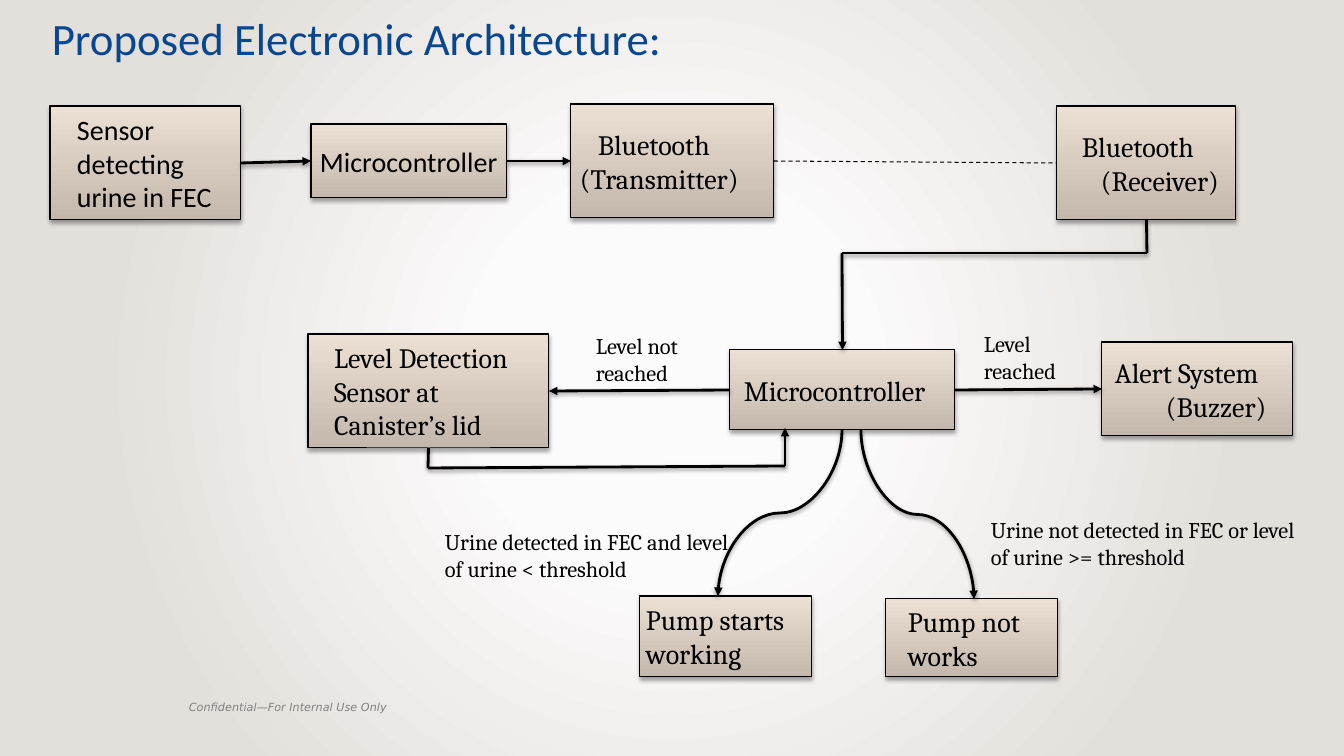
import pptx
import pptx.util
import pptx.dml.color
import pptx.enum.dml
import pptx.enum.shapes
import pptx.enum.text
import pptx.oxml
import pptx.oxml.ns
import lxml.etree

PX = 9072
COLORS = {
    "ink": "000000",
    "title": "074791",
    "footer": "808080",
    "box_bottom": "C4B8AC",
    "box_top": "ECDFD3",
    "glow": "FCFBFB",
    "edge": "E3DFDB",
}
RGB = {name: pptx.dml.color.RGBColor.from_string(value) for name, value in COLORS.items()}
NS = pptx.oxml.ns.nsdecls("a")
qn = pptx.oxml.ns.qn


def write(frame, lines, size=20, font="Cambria", color="ink", italic=False,
          indents=(0, 0), spacing=None, anchor="TOP"):
    frame.word_wrap = True
    frame.vertical_anchor = getattr(pptx.enum.text.MSO_ANCHOR, anchor)
    for index, line in enumerate(lines):
        paragraph = frame.add_paragraph() if index else frame.paragraphs[0]
        paragraph.alignment = pptx.enum.text.PP_ALIGN.LEFT
        paragraph._p.get_or_add_pPr().set("marL", str(indents[index] * PX))
        if spacing:
            paragraph.line_spacing = spacing
        run = paragraph.add_run()
        run.text = line
        run.font.size = pptx.util.Pt(size)
        run.font.name = font
        run.font.italic = italic
        run.font.color.rgb = RGB[color]


def set_effects(shape, distance, alpha):
    effects = pptx.oxml.parse_xml(f"<a:effectLst {NS}/>")
    if alpha:
        shadow = lxml.etree.SubElement(effects, qn("a:outerShdw"), blurRad="40000",
                                       dist=str(distance), dir="5400000", rotWithShape="0")
        tone = lxml.etree.SubElement(shadow, qn("a:srgbClr"), val=COLORS["ink"])
        lxml.etree.SubElement(tone, qn("a:alpha"), val=str(alpha * 1000))
    shape._element.spPr.append(effects)


deck = pptx.Presentation()
deck.slide_width = 1344 * PX
deck.slide_height = 756 * PX
slide = deck.slides.add_slide(deck.slide_layouts[6])

backdrop = slide.background.fill
backdrop.gradient()
for stop, position, color in zip(backdrop.gradient_stops, (0.25, 0.75), ("glow", "edge")):
    stop.position = position
    stop.color.rgb = RGB[color]
linear = slide.element.find(".//" + qn("a:lin"))
linear.getparent().replace(linear, pptx.oxml.parse_xml(
    f'<a:path {NS} path="circle"><a:fillToRect l="50000" t="50000" r="50000" b="50000"/></a:path>'))

texts = [
    ((42, 2, 772, 78), ["Proposed Electronic Architecture:"],
     dict(size=32, font="Calibri", color="title", spacing=0.9, anchor="MIDDLE")),
    ((179, 695, 940, 23), ["Confidential—For Internal Use Only"],
     dict(size=8, font="DejaVu Sans", color="footer", italic=True)),
    ((981, 511, 333, 65), ["Urine not detected in FEC or level of urine >= threshold"], dict(size=16)),
    ((435, 523, 311, 65), ["Urine detected in FEC and level of urine < threshold"], dict(size=16)),
    ((586, 327, 123, 65), ["Level not reached"], dict(size=16)),
    ((974, 325, 170, 65), ["Level", "reached"], dict(size=16)),
]
for area, lines, style in texts:
    label = slide.shapes.add_textbox(*(value * PX for value in area))
    write(label.text_frame, lines, **style)

stages = {
    "sensor": ((50, 106, 191, 114), ["Sensor detecting urine in FEC"], (27,), "Calibri"),
    "sender": ((311, 124, 196, 74), ["Microcontroller"], (9,), "Calibri"),
    "transmitter": ((571, 104, 203, 114), ["Bluetooth", "(Transmitter)"], (27, 9), "Cambria"),
    "receiver": ((1057, 106, 179, 114), ["Bluetooth", "(Receiver)"], (25, 44), "Cambria"),
    "level": ((308, 334, 241, 114), ["Level Detection Sensor at Canister’s lid"], (26,), "Cambria"),
    "controller": ((730, 350, 225, 80), ["Microcontroller"], (14,), "Cambria"),
    "alert": ((1102, 342, 191, 94), ["Alert System", "(Buzzer)"], (13, 64), "Cambria"),
    "pump_on": ((640, 596, 172, 81), ["Pump starts working"], (6,), "Cambria"),
    "pump_off": ((886, 599, 172, 78), ["Pump not works"], (22,), "Cambria"),
}
boxes = {}
for name, (area, lines, indents, font) in stages.items():
    box = slide.shapes.add_shape(pptx.enum.shapes.MSO_SHAPE.RECTANGLE,
                                 *(value * PX for value in area))
    box.fill.gradient()
    box.fill.gradient_angle = 90
    for stop, position, color in zip(box.fill.gradient_stops, (0, 1), ("box_bottom", "box_top")):
        stop.position = position
        stop.color.rgb = RGB[color]
    box.line.color.rgb = RGB["ink"]
    box.line.width = pptx.util.Pt(0.75)
    set_effects(box, 23000, 35)
    frame = box.text_frame
    frame.margin_left = frame.margin_right = frame.margin_top = frame.margin_bottom = 0
    write(frame, lines, font=font, indents=indents, anchor="MIDDLE")
    boxes[name] = box

TOP, LEFT, BOTTOM, RIGHT = range(4)
links = [
    (("sensor", RIGHT), ("sender", LEFT), "arrow"),
    (("sender", RIGHT), ("transmitter", LEFT), "arrow"),
    (("transmitter", RIGHT), ("receiver", LEFT), "dash"),
    (("receiver", BOTTOM), (1147, 253), "plain"),
    ((1147, 253), (842, 253), "plain"),
    ((842, 253), ("controller", TOP), "arrow"),
    (("controller", RIGHT), ("alert", LEFT), "arrow"),
    (("controller", LEFT), ("level", RIGHT), "arrow"),
    (("level", BOTTOM), (428, 468), "plain"),
    ((428, 468), (785, 466), "plain"),
    ((785, 466), (785, 428), "arrow"),
    ((842, 430), (718, 596), "curve"),
    ((861, 430), (974, 599), "curve"),
]
for start, end, kind in links:
    x1, y1 = (0, 0) if start[0] in boxes else (value * PX for value in start)
    x2, y2 = (0, 0) if end[0] in boxes else (value * PX for value in end)
    if kind == "curve":
        mid_x, mid_y = (x1 + x2) // 2, (y1 + y2) // 2
        half_w, half_h = abs(y2 - y1) // 2, abs(x2 - x1) // 2
        link = slide.shapes.add_connector(
            pptx.enum.shapes.MSO_CONNECTOR.CURVE,
            mid_x - half_w, mid_y - half_h, mid_x + half_w, mid_y + half_h)
        turn = link._element.spPr.find(qn("a:xfrm"))
        turn.set("rot", "16200000" if x2 > x1 else "5400000")
        if x2 > x1:
            turn.set("flipH", "1")
    else:
        link = slide.shapes.add_connector(pptx.enum.shapes.MSO_CONNECTOR.STRAIGHT, x1, y1, x2, y2)
        if start[0] in boxes:
            link.begin_connect(boxes[start[0]], start[1])
        if end[0] in boxes:
            link.end_connect(boxes[end[0]], end[1])
    link.line.color.rgb = RGB["ink"]
    link.line.width = pptx.util.Pt(0.75 if kind == "dash" else 2)
    if kind == "dash":
        link.line.dash_style = pptx.enum.dml.MSO_LINE.DASH
    if kind in ("arrow", "curve"):
        lxml.etree.SubElement(link._element.spPr.find(qn("a:ln")), qn("a:tailEnd"), type="triangle")
    set_effects(link, 20000, 0 if kind == "dash" else 38)

deck.save("out.pptx")
